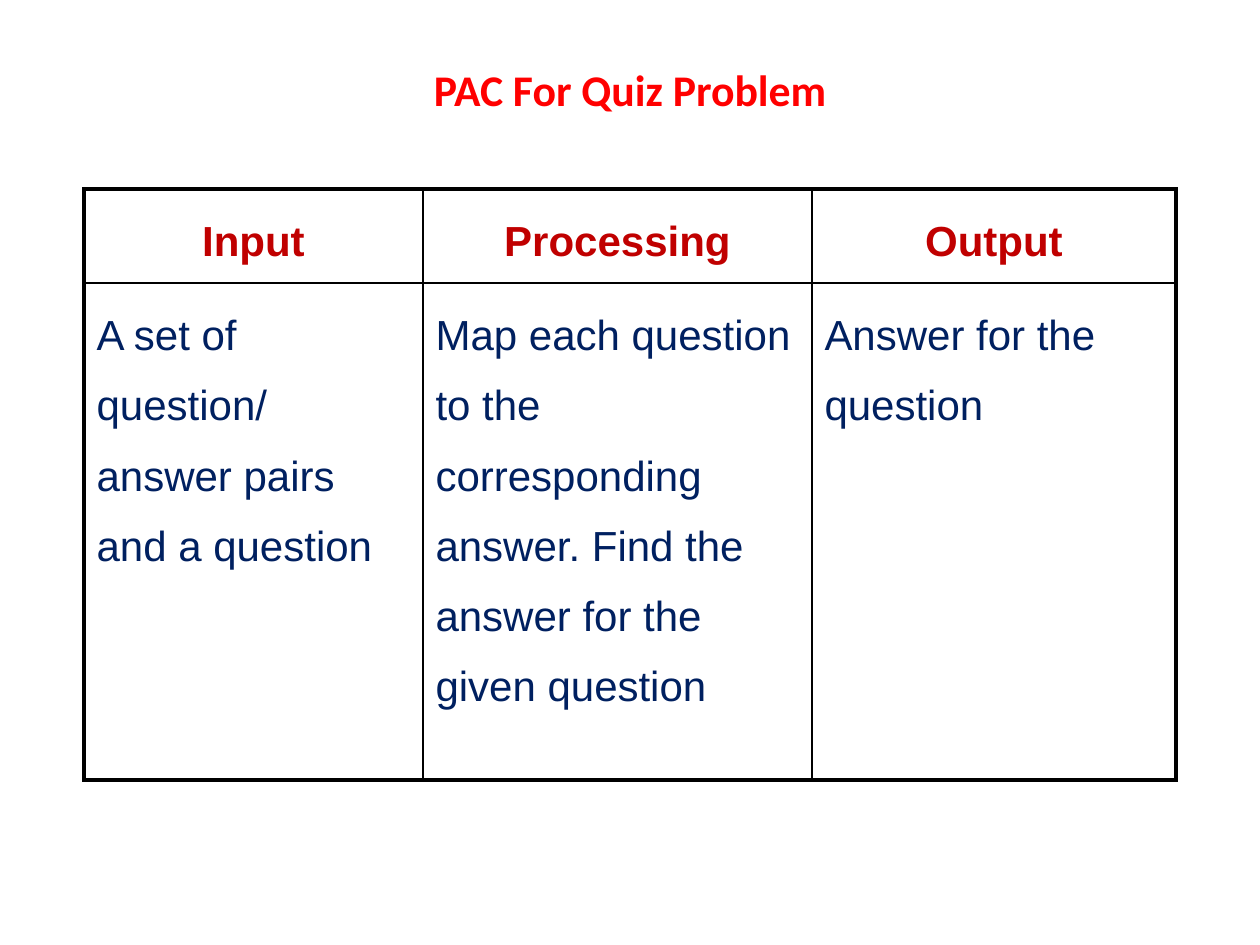
from lxml.etree import SubElement
from pptx import Presentation
from pptx.dml.color import RGBColor as Color
from pptx.enum.text import MSO_ANCHOR as Anchor, PP_ALIGN as Align
from pptx.oxml.ns import qn
from pptx.util import Emu, Pt

SCALE = 914400 // 126
COLORS = {"title": "FF0000", "header": "C00000", "body": "002060", "border": "000000"}
THIN, THICK = 1, 2.25
COLUMNS = [339, 389, 364]
ROWS = [94, 497]
CELLS = [
    ["Input", "Processing", "Output"],
    [
        "A set of question/ answer pairs and a question",
        "Map each question to the corresponding answer. Find the answer for the given question",
        "Answer for the question",
    ],
]


def px(length):
    return Emu(length * SCALE)


def write_text(frame, text, font="Arial", size=24, color="body", bold=False,
               align=Align.LEFT, spacing=None, before=None):
    frame.word_wrap = True
    para = frame.paragraphs[0]
    para.alignment = align
    para.line_spacing = spacing
    para.space_before = before
    span = para.add_run()
    span.text = text
    span.font.name = font
    span.font.size = Pt(size)
    span.font.bold = bold
    span.font.color.rgb = Color.from_string(COLORS[color])


def set_borders(cell, widths):
    properties = cell._tc.get_or_add_tcPr()
    for index, (side, width) in enumerate(widths.items()):
        line = SubElement(properties, qn("a:ln" + side), w=str(Pt(width)))
        fill = SubElement(line, qn("a:solidFill"))
        SubElement(fill, qn("a:srgbClr"), val=COLORS["border"])
        properties.insert(index, line)


def add_title(page, left, top, width, height):
    box = page.shapes.title
    box.left, box.top, box.width, box.height = map(px, (left, top, width, height))
    frame = box.text_frame
    frame.vertical_anchor = Anchor.MIDDLE
    write_text(frame, "PAC For Quiz Problem", font="Calibri", size=25,
               color="title", bold=True, align=Align.CENTER)


def add_pac_table(page, left, top):
    last_row, last_column = len(ROWS) - 1, len(COLUMNS) - 1
    table = page.shapes.add_table(len(ROWS), len(COLUMNS), px(left), px(top),
                                  px(sum(COLUMNS)), px(sum(ROWS))).table
    table.first_row = table.horz_banding = False
    for column, width in zip(table.columns, COLUMNS):
        column.width = px(width)
    for r, (row, height) in enumerate(zip(table.rows, ROWS)):
        row.height = px(height)
        header = r == 0
        for c, cell in enumerate(row.cells):
            cell.fill.background()
            write_text(cell.text_frame, CELLS[r][c], bold=header,
                       color="header" if header else "body",
                       align=Align.CENTER if header else Align.LEFT,
                       spacing=1.5, before=Pt(4.8))
            set_borders(cell, {
                "L": THICK if c == 0 else THIN,
                "R": THICK if c == last_column else THIN,
                "T": THICK if header else THIN,
                "B": THICK if r == last_row else THIN,
            })


deck = Presentation()
deck.slide_width, deck.slide_height = px(1260), px(945)
page = deck.slides.add_slide(deck.slide_layouts[5])
add_title(page, 42, 21, 1176, 136)
add_pac_table(page, 84, 189)
deck.save("out.pptx")
